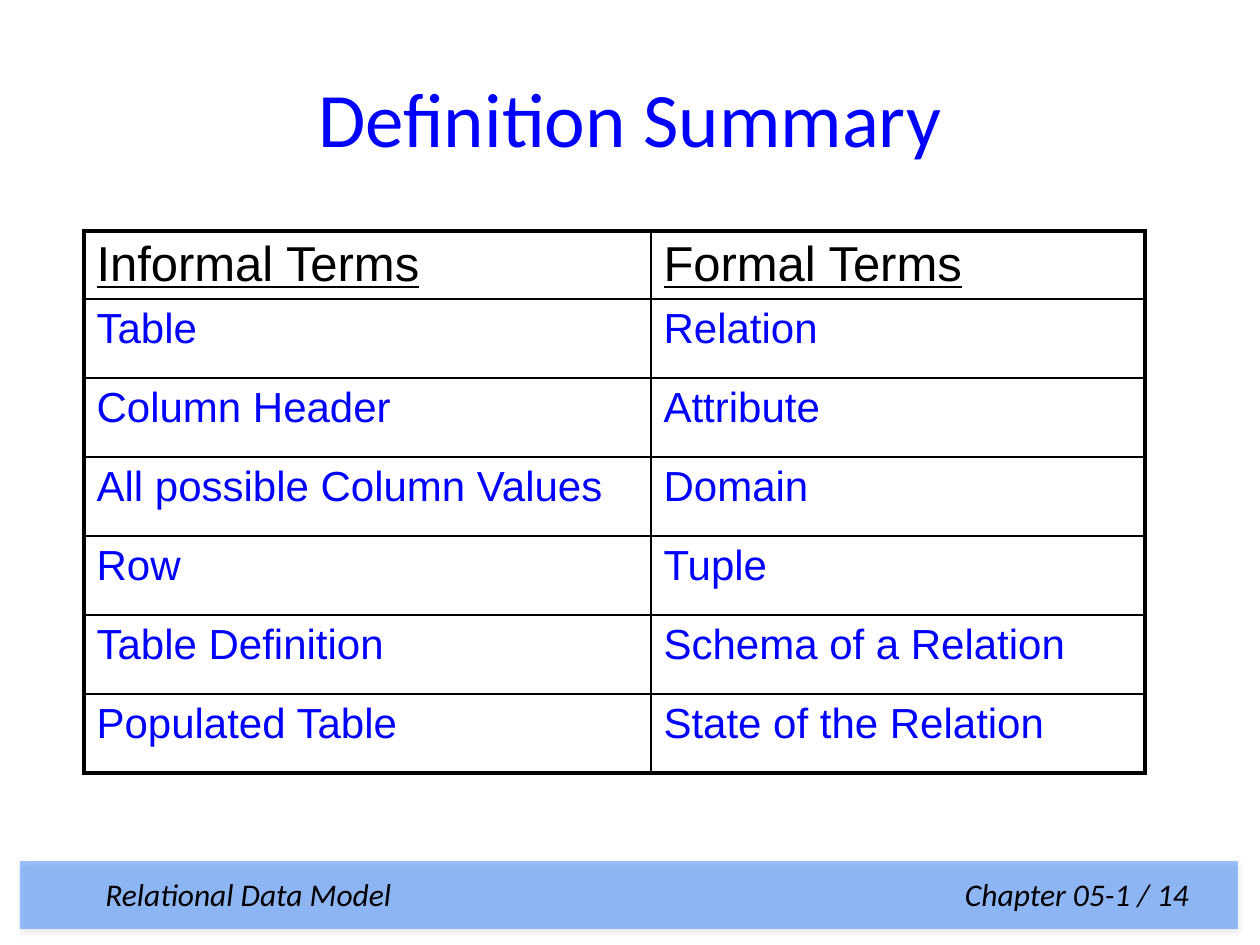
"""Build the Definition Summary slide with its terms table and footer bar."""
import dataclasses
import typing

import lxml.etree
import pptx
import pptx.dml.color
import pptx.enum.shapes
import pptx.enum.text
import pptx.oxml
import pptx.oxml.ns
import pptx.util

EMU_PER_PX = 914400 / 126
BLACK, BLUE = "000000", "0000FF"
THIN, THICK = 1, 2.25
COLUMN_WIDTHS = (567, 494)
HEADER_HEIGHT, ROW_HEIGHT = 68, 79
TERMS = (
    ("Informal Terms", "Formal Terms"),
    ("Table", "Relation"),
    ("Column Header", "Attribute"),
    ("All possible Column Values", "Domain"),
    ("Row", "Tuple"),
    ("Table Definition", "Schema of a Relation"),
    ("Populated Table", "State of the Relation"),
)
TITLE_FORMAT = {"name": "Calibri", "size": pptx.util.Pt(44)}
HEADER_FORMAT = {"name": "Arial", "size": pptx.util.Pt(28), "underline": True}
TERM_FORMAT = {"name": "Arial", "size": pptx.util.Pt(24)}
FOOTER_FORMAT = {"name": "Calibri", "size": pptx.util.Pt(18), "italic": True}
Align = pptx.enum.text.PP_ALIGN


@dataclasses.dataclass(frozen=True)
class Box:
    """A rectangle in px."""
    left: int
    top: int
    width: int
    height: int

    def emu(self) -> tuple[int, ...]:
        """Return the four lengths in EMU."""
        return tuple(px(value) for value in dataclasses.astuple(self))


@dataclasses.dataclass(frozen=True)
class FooterLabel:
    """A text in the footer bar."""
    text: str
    box: Box
    alignment: Align
    right_inset: int


FOOTER_LABELS = (
    FooterLabel("Relational Data Model", Box(93, 869, 486, 50), Align.LEFT, 13),
    FooterLabel("Chapter 05-1 / 14", Box(673, 869, 564, 50), Align.RIGHT, 48),
)


def px(value: int) -> int:
    """Turn px into EMU."""
    return pptx.util.Emu(round(value * EMU_PER_PX))


def color(value: str) -> pptx.dml.color.RGBColor:
    """Turn a hex string into a colour."""
    return pptx.dml.color.RGBColor.from_string(value)


def apply(target: typing.Any, values: dict[str, typing.Any]) -> None:
    """Set each attribute named in a dict."""
    for name, value in values.items():
        setattr(target, name, value)


def write(frame: typing.Any, text: str, font_format: dict, text_color: str,
          alignment: Align = Align.LEFT) -> None:
    """Put one formatted run into a text frame."""
    paragraph = frame.paragraphs[0]
    paragraph.alignment = alignment
    run = paragraph.add_run()
    run.text = text
    apply(run.font, font_format)
    run.font.color.rgb = color(text_color)


def add_borders(cell: typing.Any, widths: dict[str, float]) -> None:
    """Draw solid black borders on a cell, keyed by side."""
    properties = cell._tc.get_or_add_tcPr()
    for side in "LRTB":
        properties.append(pptx.oxml.parse_xml(
            f'<a:ln{side} {pptx.oxml.ns.nsdecls("a")} w="{pptx.util.Pt(widths[side])}">'
            f'<a:solidFill><a:srgbClr val="{BLACK}"/></a:solidFill></a:ln{side}>'))


def add_title(slide: typing.Any) -> None:
    """Fill and place the title."""
    title = slide.shapes.title
    apply(title, dict(zip(("left", "top", "width", "height"), Box(63, 38, 1134, 158).emu())))
    title.text_frame.vertical_anchor = pptx.enum.text.MSO_ANCHOR.MIDDLE
    write(title.text_frame, "Definition Summary", TITLE_FORMAT, BLUE, Align.CENTER)


def add_terms_table(slide: typing.Any) -> None:
    """Add the table of informal and formal terms."""
    last_row, last_column = len(TERMS) - 1, len(COLUMN_WIDTHS) - 1
    box = Box(84, 231, sum(COLUMN_WIDTHS), HEADER_HEIGHT + last_row * ROW_HEIGHT)
    table = slide.shapes.add_table(len(TERMS), len(COLUMN_WIDTHS), *box.emu()).table
    apply(table, {"first_row": False, "horz_banding": False})
    for column, width in zip(table.columns, COLUMN_WIDTHS):
        column.width = px(width)
    for i, terms in enumerate(TERMS):
        table.rows[i].height = px(ROW_HEIGHT if i else HEADER_HEIGHT)
        for j, term in enumerate(terms):
            cell = table.cell(i, j)
            outer = {"L": j == 0, "R": j == last_column, "T": i == 0, "B": i == last_row}
            add_borders(cell, {side: THICK if edge else THIN for side, edge in outer.items()})
            cell.fill.background()
            write(cell.text_frame, term, TERM_FORMAT if i else HEADER_FORMAT,
                  BLUE if i else BLACK)


def add_footer(slide: typing.Any) -> None:
    """Add the translucent bar with its shadow and labels."""
    group = slide.shapes.add_group_shape()
    bar = group.shapes.add_shape(pptx.enum.shapes.MSO_SHAPE.RECTANGLE,
                                 *Box(20, 861, 1218, 68).emu())
    bar.fill.solid()
    bar.fill.fore_color.rgb = color("0066FF")
    bar.line.fill.background()
    fill_color = bar.fill._xPr.find(".//" + pptx.oxml.ns.qn("a:srgbClr"))
    lxml.etree.SubElement(fill_color, pptx.oxml.ns.qn("a:alpha"), val="40000")
    bar._element.spPr.append(pptx.oxml.parse_xml(
        f'<a:effectLst {pptx.oxml.ns.nsdecls("a")}><a:outerShdw blurRad="{pptx.util.Pt(3.1)}" '
        f'dist="{pptx.util.Pt(1.6)}" dir="5400000" rotWithShape="0"><a:srgbClr val="808080">'
        '<a:alpha val="38000"/></a:srgbClr></a:outerShdw></a:effectLst>'))
    for label in FOOTER_LABELS:
        frame = group.shapes.add_textbox(*label.box.emu()).text_frame
        apply(frame, {"word_wrap": True, "margin_right": px(label.right_inset)})
        write(frame, label.text, FOOTER_FORMAT, BLACK, label.alignment)


def main() -> None:
    """Build and save the presentation."""
    presentation = pptx.Presentation()
    apply(presentation, {"slide_width": px(1260), "slide_height": px(945)})
    slide = presentation.slides.add_slide(presentation.slide_layouts[5])
    add_title(slide)
    add_terms_table(slide)
    add_footer(slide)
    presentation.save("out.pptx")


if __name__ == "__main__":
    main()
